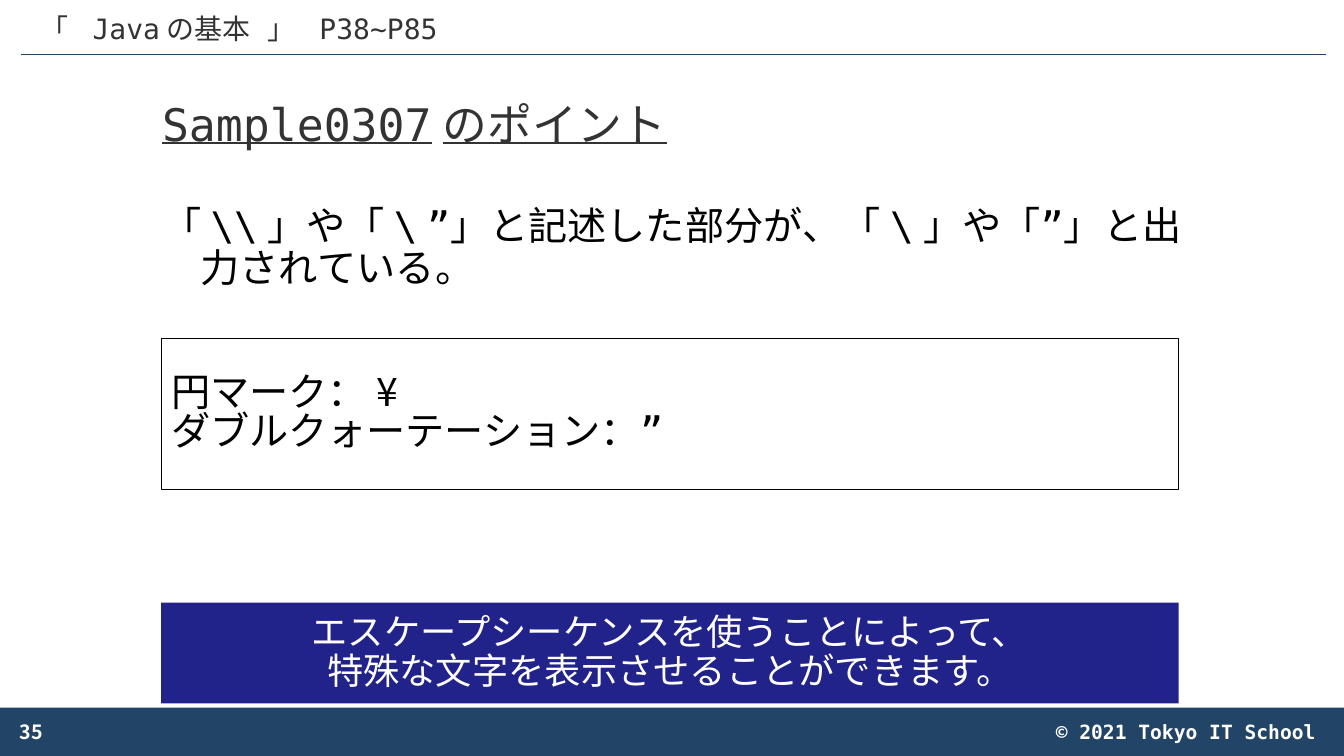
import pptx
import pptx.dml.color
import pptx.enum.shapes
import pptx.enum.text
import pptx.oxml.ns
import pptx.util
from lxml import etree

PX = 9144
COLORS = {"navy": "224466", "blue": "22228B", "gray": "333333",
          "black": "000000", "white": "FFFFFF"}
MONO, GOTHIC, SANS = "DejaVu Sans Mono", "Noto Sans CJK JP", "Arial"
ALIGN = pptx.enum.text.PP_ALIGN
ANCHOR = pptx.enum.text.MSO_ANCHOR
SHAPE = pptx.enum.shapes.MSO_SHAPE
qn = pptx.oxml.ns.qn


class Deck:
    def __init__(self, width, height):
        self.prs = pptx.Presentation()
        self.prs.slide_width = width * PX
        self.prs.slide_height = height * PX
        self.s = self.prs.slides.add_slide(self.prs.slide_layouts[6])

    def color(self, name):
        return pptx.dml.color.RGBColor.from_string(COLORS[name])

    def box(self, x, y, w, h, fill=None, line=None):
        sp = self.s.shapes.add_shape(SHAPE.RECTANGLE, *(v * PX for v in (x, y, w, h)))
        sp.shadow.inherit = False
        if fill:
            sp.fill.solid()
            sp.fill.fore_color.rgb = self.color(fill)
        else:
            sp.fill.background()
        if line:
            sp.line.color.rgb = self.color(line)
            sp.line.width = pptx.util.Pt(0.75)
        else:
            sp.line.fill.background()
        return sp

    def text_box(self, x, y, w, h):
        return self.s.shapes.add_textbox(*(v * PX for v in (x, y, w, h)))

    def rule(self, x1, y1, x2, y2, color):
        cx = self.s.shapes.add_connector(pptx.enum.shapes.MSO_CONNECTOR.STRAIGHT,
                                         *(v * PX for v in (x1, y1, x2, y2)))
        cx.line.color.rgb = self.color(color)
        cx.line.width = pptx.util.Pt(0.5)
        etree.SubElement(cx._element.spPr, qn("a:effectLst"))

    def set_text(self, sp, lines, size, font, color, anchor=ANCHOR.TOP,
                 hang=0, para=None, char=None):
        tf = sp.text_frame
        tf.word_wrap = True
        tf.vertical_anchor = anchor
        for i, runs in enumerate(lines):
            p = tf.paragraphs[0] if i == 0 else tf.add_paragraph()
            for name, value in {"alignment": ALIGN.LEFT, **(para or {})}.items():
                setattr(p, name, value)
            if hang:
                pPr = p._p.get_or_add_pPr()
                pPr.set("marL", str(hang * PX))
                pPr.set("indent", str(-hang * PX))
            for text, face in [(runs, font)] if isinstance(runs, str) else runs:
                r = p.add_run()
                r.text = text
                formats = {"size": pptx.util.Pt(size), "name": face, **(char or {})}
                for name, value in formats.items():
                    setattr(r.font, name, value)
                r.font.color.rgb = self.color(color)
                etree.SubElement(r._r.get_or_add_rPr(), qn("a:ea"), typeface=face)


def main():
    d = Deck(1334, 750)
    tight = {"line_spacing": 0.9}
    centered = {"alignment": ALIGN.CENTER, **tight}
    bold = {"bold": True}

    d.box(0, 702, 1334, 49, fill="navy")
    d.set_text(d.text_box(834, 709, 482, 34), ["© 2021 Tokyo IT School"], 14, MONO, "white",
               para={"alignment": ALIGN.RIGHT}, char=bold)
    d.rule(21, 54, 1316, 54, "navy")

    d.set_text(d.text_box(151, 68, 1032, 116), ["Sample0307のポイント"], 32, MONO, "gray",
               anchor=ANCHOR.MIDDLE, para=tight, char={"underline": True})
    d.set_text(d.text_box(151, 200, 1032, 476),
               ["「\\\\」や「\\”」と記述した部分が、「\\」や「”」と出力されている。"],
               28, MONO, "black", hang=38, para=tight)
    d.set_text(d.text_box(10, 706, 300, 40), ["35"], 14, GOTHIC, "white",
               anchor=ANCHOR.MIDDLE, char=bold)

    d.set_text(d.box(160, 336, 1010, 150, line="black"),
               ["円マーク：¥", [("ダブルクォーテーション：", GOTHIC), ("”", MONO)]],
               28, GOTHIC, "black", anchor=ANCHOR.MIDDLE,
               para={"alignment": ALIGN.JUSTIFY, "line_spacing": pptx.util.Pt(27.8)})
    d.set_text(d.box(160, 598, 1010, 100, fill="blue"),
               ["エスケープシーケンスを使うことによって、", "特殊な文字を表示させることができます。"],
               25.9, SANS, "white", anchor=ANCHOR.MIDDLE, para=centered)
    d.set_text(d.text_box(0, -4, 475, 54), ["「 Javaの基本 」 P38~P85"], 20, MONO, "gray",
               anchor=ANCHOR.BOTTOM, para=centered)

    d.prs.save("out.pptx")


if __name__ == "__main__":
    main()
